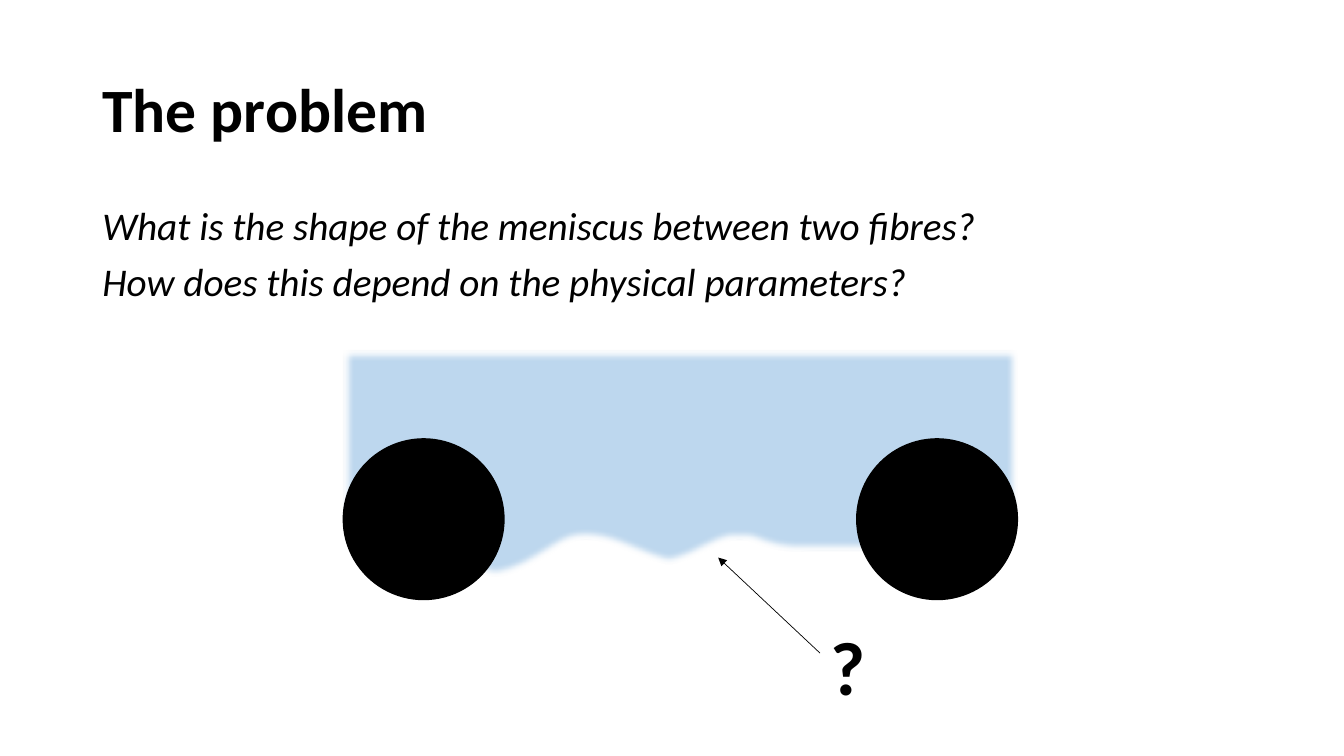
from lxml.etree import SubElement
from pptx import Presentation
from pptx.dml.color import RGBColor
from pptx.enum.shapes import MSO_CONNECTOR, MSO_SHAPE
from pptx.enum.text import MSO_ANCHOR, MSO_AUTO_SIZE, PP_ALIGN
from pptx.oxml.ns import qn
from pptx.util import Pt

PX = 9525  # EMU, 96 px to the inch
BLACK = "000000"


def box(*lengths):
    """Turn px lengths into EMU."""
    return [n * PX for n in lengths]


def paint(color_format, color):
    color_format.rgb = RGBColor.from_string(color)


prs = Presentation()
prs.slide_width, prs.slide_height = box(1280, 720)
s = prs.slides.add_slide(prs.slide_layouts[5])

# Liquid with a wavy lower edge
curves = [
    [(929, 531), (811, 522), (766, 524)],
    [(721, 526), (715, 510), (698, 514)],
    [(680, 517), (652, 540), (631, 536)],
    [(610, 533), (571, 508), (550, 514)],
    [(529, 519), (495, 555), (461, 547)],
]
STEPS = 24
outline = [(968, 334), (968, 501)]
for c1, c2, end in curves:
    start = outline[-1]
    for i in range(1, STEPS + 1):
        t = i / STEPS
        outline.append(tuple(
            (1 - t) ** 3 * a + 3 * (1 - t) ** 2 * t * b + 3 * (1 - t) * t ** 2 * c + t ** 3 * d
            for a, b, c, d in zip(start, c1, c2, end)))
outline.append((327, 501))
builder = s.shapes.build_freeform(327 * PX, 334 * PX, scale=1.0)
builder.add_line_segments([(round(x * PX), round(y * PX)) for x, y in outline], close=True)
liquid = builder.convert_to_shape()
liquid.fill.solid()
paint(liquid.fill.fore_color, "BDD7EE")
paint(liquid.line.color, "43739E")
liquid.line.width = Pt(1)
effects = SubElement(liquid._element.spPr, qn("a:effectLst"))
SubElement(effects, qn("a:softEdge"), rad="63500")

# Fibres
for left in (327, 816):
    fibre = s.shapes.add_shape(MSO_SHAPE.OVAL, *box(left, 418, 153, 153))
    fibre.shadow.inherit = False
    fibre.fill.solid()
    paint(fibre.fill.fore_color, BLACK)
    paint(fibre.line.color, BLACK)
    fibre.line.width = Pt(1)

# Arrow to the meniscus
arrow = s.shapes.add_connector(MSO_CONNECTOR.STRAIGHT, *box(781, 622, 684, 531))
paint(arrow.line.color, BLACK)
arrow.line.width = Pt(0.5)
SubElement(arrow.line._get_or_add_ln(), qn("a:tailEnd"), type="triangle")
SubElement(arrow._element.spPr, qn("a:effectLst"))

# Texts
title = s.shapes.title
title.left, title.top, title.width, title.height = box(88, 38, 1104, 139)
title.text_frame.vertical_anchor = MSO_ANCHOR.MIDDLE
title.text_frame.auto_size = MSO_AUTO_SIZE.NONE
questions = s.shapes.add_textbox(*box(88, 192, 1104, 457))
mark = s.shapes.add_textbox(*box(781, 586, 53, 97))
mark.text_frame.auto_size = MSO_AUTO_SIZE.SHAPE_TO_FIT_TEXT

texts = [
    (title, ["The problem"], 44, True, PP_ALIGN.LEFT, 0.9, 0),
    (questions, ["What is the shape of the meniscus between two fibres?",
                 "How does this depend on the physical parameters?"],
     28, False, PP_ALIGN.LEFT, 0.9, 10),
    (mark, ["?"], 54, True, PP_ALIGN.CENTER, 1.0, 0),
]
for sp, lines, size, bold, align, spacing, before in texts:
    tf = sp.text_frame
    tf.word_wrap = sp is not mark
    for i, line in enumerate(lines):
        p = tf.add_paragraph() if i else tf.paragraphs[0]
        p.alignment, p.line_spacing, p.space_before = align, spacing, Pt(before)
        r = p.add_run()
        r.text = line
        r.font.name, r.font.size = "Calibri", Pt(size)
        r.font.bold, r.font.italic = bold, not bold
        paint(r.font.color, BLACK)

prs.save("out.pptx")
